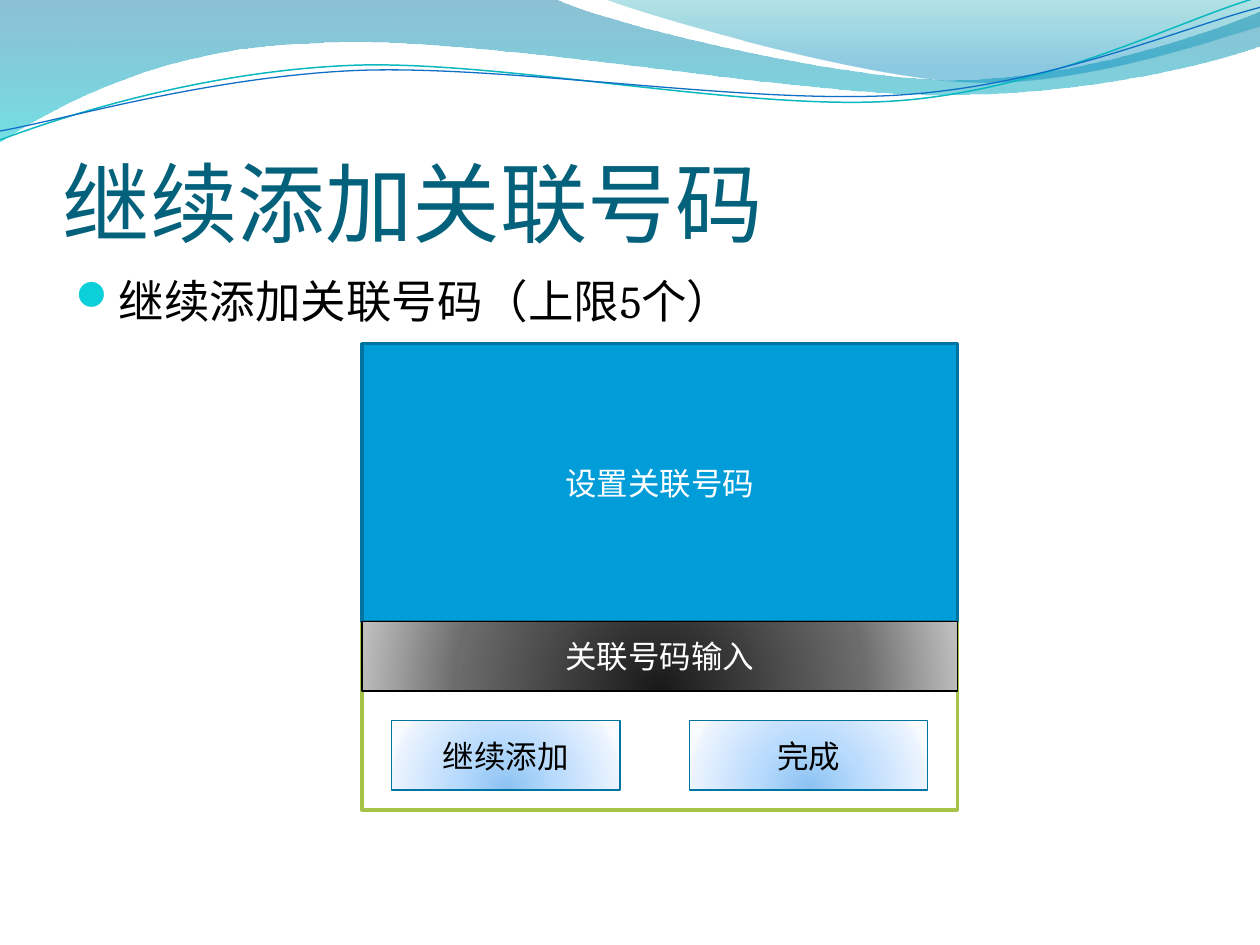
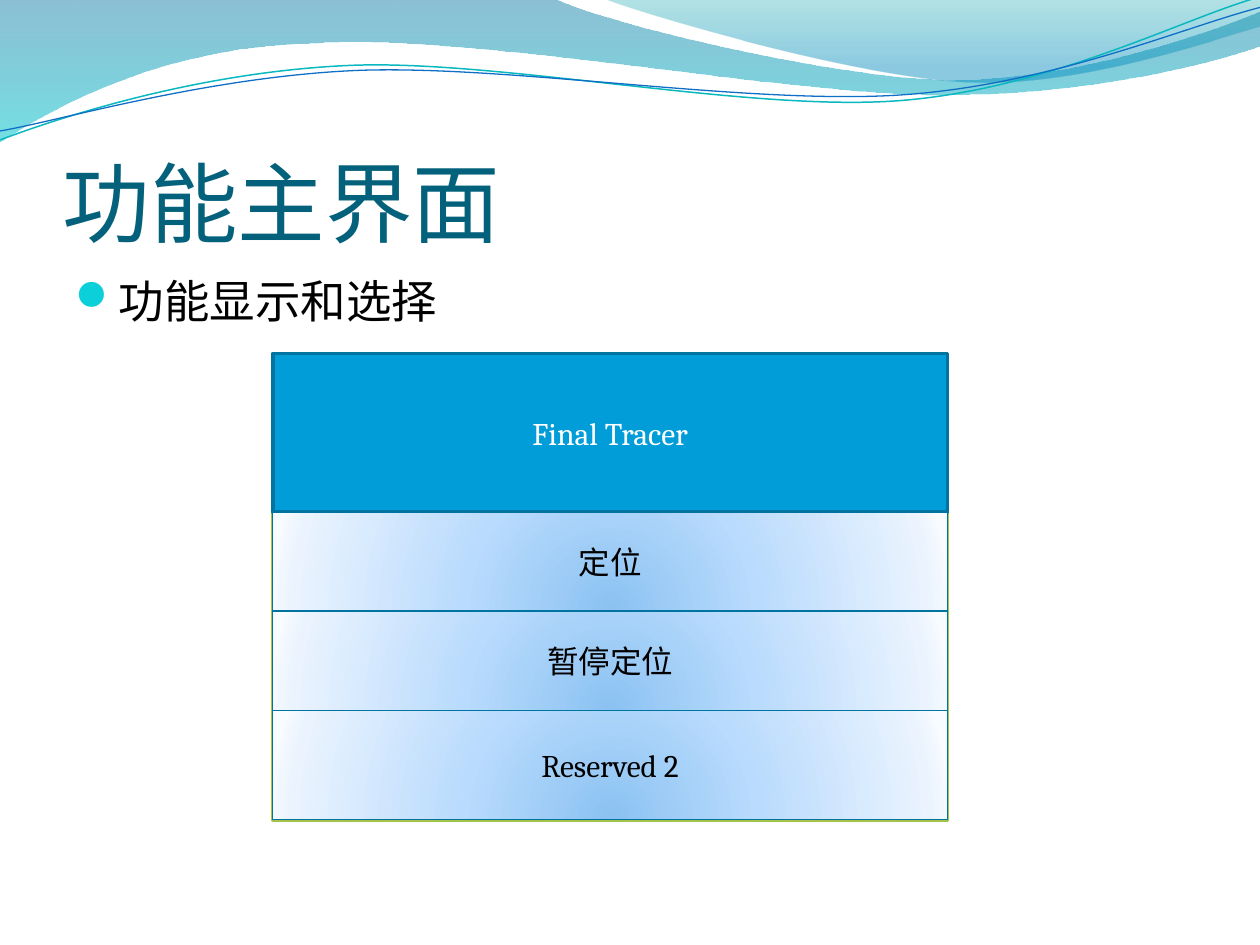
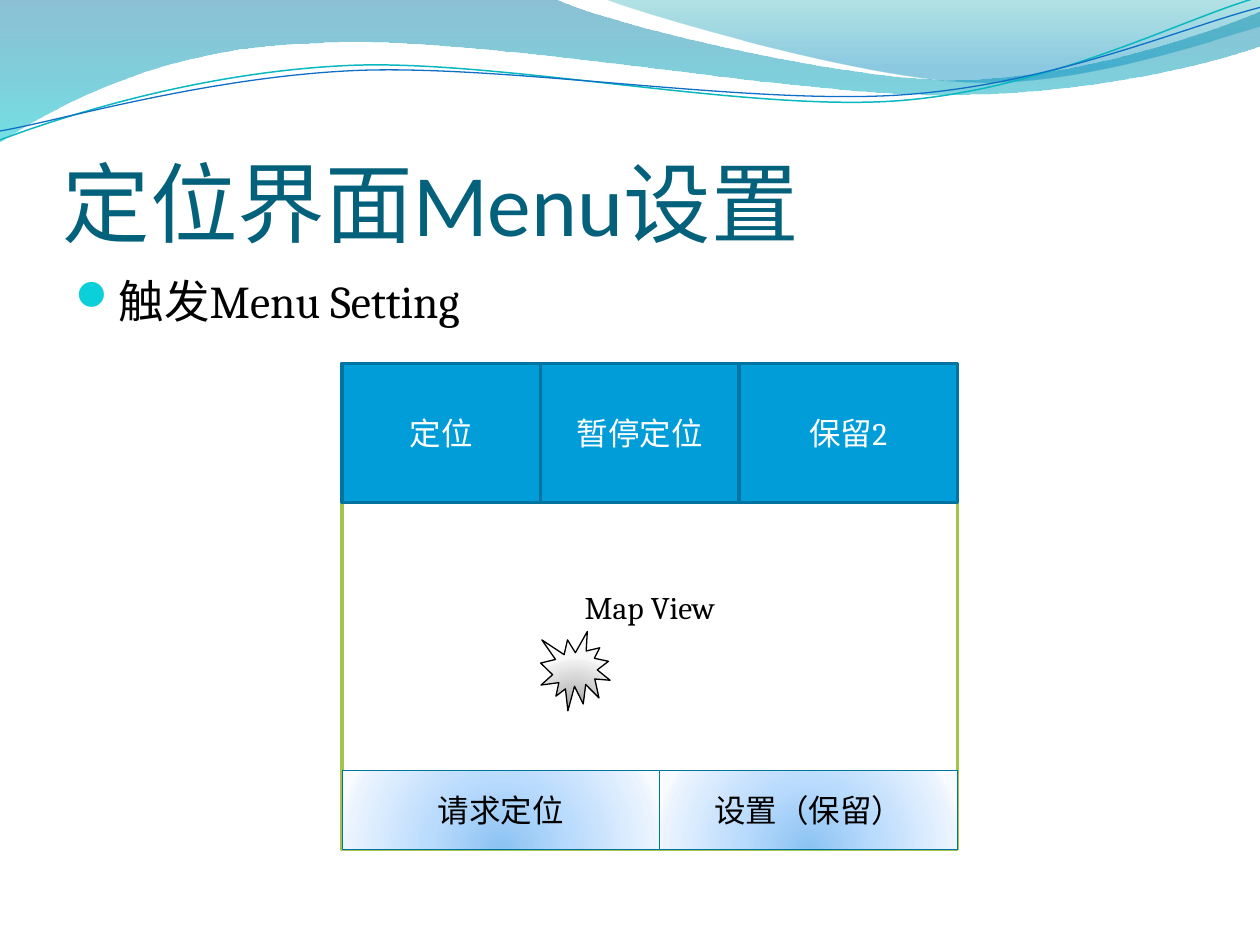
"""Build three slides of phone-screen mock-ups under a shared wave banner."""
import math
from dataclasses import dataclass

import lxml.etree
import pptx
import pptx.dml.color
import pptx.enum.shapes
import pptx.enum.text
import pptx.oxml.ns
import pptx.util

Cm = pptx.util.Cm
Pt = pptx.util.Pt
SHAPE = pptx.enum.shapes.MSO_SHAPE
ANCHOR = pptx.enum.text.MSO_ANCHOR
ALIGN = pptx.enum.text.PP_ALIGN
qn = pptx.oxml.ns.qn


@dataclass(frozen=True)
class Look:
    """Fill, outline and text colour of a kind of shape."""
    fill: object
    line: str
    width: float
    text: str = "000000"


@dataclass(frozen=True)
class Theme:
    """Colours, fonts and type sizes that all slides share."""
    heading_font: str = "Calibri"
    body_font: str = "Cambria"
    bullet_font: str = "Wingdings 2"
    title_size: int = 50
    body_size: int = 26
    label_size: int = 18
    title: str = "04617B"
    text: str = "000000"
    bullet: str = "0BD0D9"
    frame: Look = Look("FFFFFF", "A5C249", 2)
    header: Look = Look("009DD9", "0074A1", 2, "FFFFFF")
    button: Look = Look(((0, "8BC2F1"), (43, "B9DBFD"), (93, "EAF3FE"), (100, "F8FBFF")),
                        "0074A1", 0.75)
    entry: Look = Look(((0, "191919"), (68, "6C6C6C"), (100, "BDBDBD")),
                       "000000", 0.75, "FFFFFF")
    marker: Look = Look(((0, "979797"), (43, "C6C6C6"), (93, "EEEEEE"), (100, "F9F9F9")),
                        "000000", 0.75)


THEME = Theme()

BANDS = (
    (((0, "0074A1", 45), (100, "00C6CF", 55)),
     ((0, 0), (11.18, -0.03), (12.09, 0.43, 16.87, 1.6, 19.25, 1.6),
      (21.67, 1.6, 24.33, 0.66, 25.4, 0.23), (25.43, 0.91),
      (24.97, 1.12, 22.1, 1.93, 18.95, 1.91), (15.8, 1.91, 9.7, 0.71, 6.53, 0.86),
      (3.28, 0.91, 1.17, 2.11, -0.03, 2.87))),
    (((0, "00A1A9", 30), (80, "008BBF", 45)),
     ((12.17, -0.03), (12.93, 0.28, 17.32, 1.57, 19.53, 1.65),
      (21.74, 1.75, 24.41, 0.81, 25.4, 0.53), (25.4, 0))),
)
STROKES = (
    ("0AB8BF", 0.85,
     ((0, 2.82), (1.22, 2.36, 4.01, 1.45, 7.04, 1.32),
      (10.03, 1.19, 15.06, 2.26, 18.11, 2.03), (21.16, 1.8, 23.83, 0.38, 25.35, -0.05))),
    ("0F6FC6", 0.75,
     ((0, 2.64), (1.19, 2.44, 4.17, 1.55, 7.19, 1.42),
      (10.24, 1.3, 15.16, 2.13, 18.21, 1.91), (21.23, 1.7, 23.9, 0.53, 25.4, 0.15))),
)
STROKE_TILT = 2.7
STROKE_CENTER = (12.68, 1.48)


def rgb(value):
    """Turn a hex string into a colour."""
    return pptx.dml.color.RGBColor.from_string(value)


def child(parent, tag, **attrs):
    """Append a DrawingML element whose attributes are given by name."""
    el = lxml.etree.SubElement(parent, qn("a:" + tag))
    for key, value in attrs.items():
        el.set(key, str(value))
    return el


def color_node(parent, value, alpha=100):
    """Append a colour with an opacity in percent."""
    clr = child(parent, "srgbClr", val=value)
    if alpha < 100:
        child(clr, "alpha", val=alpha * 1000)


def fill_gradient(shape, stops, radial):
    """Fill a shape with a radial or a top-down gradient."""
    shape.fill.gradient()
    grad = shape.element.spPr.find(qn("a:gradFill"))
    grad.clear()
    grad.set("rotWithShape", "1")
    gs_list = child(grad, "gsLst")
    for position, *color in stops:
        color_node(child(gs_list, "gs", pos=position * 1000), *color)
    if radial:
        focus = child(grad, "path", path="circle")
        child(focus, "fillToRect", l=50000, t=130000, r=50000, b=-30000)
    else:
        child(grad, "lin", ang=5400000, scaled=1)


def add_run(p, text, font, size, color):
    """Append one formatted run to a paragraph."""
    r = p.add_run()
    r.text = text
    r.font.name = font
    r.font.size = Pt(size)
    r.font.color.rgb = rgb(color)


def pairs(step):
    """Split a step into its points, in EMU."""
    return [(Cm(x), Cm(y)) for x, y in zip(step[::2], step[1::2])]


def turn(step, degrees, center):
    """Rotate the points of a step about a centre."""
    cos, sin = math.cos(math.radians(degrees)), math.sin(math.radians(degrees))
    turned = []
    for x, y in zip(step[::2], step[1::2]):
        dx, dy = x - center[0], y - center[1]
        turned += [center[0] + dx * cos - dy * sin, center[1] + dx * sin + dy * cos]
    return turned


def add_outline(s, steps, close):
    """Draw a freeform whose six-number steps are cubic curves."""
    points = [pairs(step) for step in steps]
    start = points[0][0]
    builder = s.shapes.build_freeform(*start)
    builder.add_line_segments([step[-1] for step in points[1:]], close=close)
    sp = builder.convert_to_shape()
    sp.shadow.inherit = False
    outline = next(sp.element.iter(qn("a:path")))
    origin = outline.find(qn("a:moveTo"))[0]
    left, top = start[0] - int(origin.get("x")), start[1] - int(origin.get("y"))
    for line, step in zip(outline.findall(qn("a:lnTo")), points[1:]):
        if len(step) == 3:
            curve = child(outline, "cubicBezTo")
            for x, y in step:
                child(curve, "pt", x=x - left, y=y - top)
            outline.replace(line, curve)
    return sp


def add_waves(master, s):
    """Draw the wave banner and hand it to the master."""
    waves = []
    for stops, steps in BANDS:
        sp = add_outline(s, steps, True)
        fill_gradient(sp, stops, False)
        sp.line.fill.background()
        waves.append(sp)
    for color, width, steps in STROKES:
        level = [turn(step, STROKE_TILT, STROKE_CENTER) for step in steps]
        sp = add_outline(s, level, False)
        sp.rotation = 360 - STROKE_TILT
        sp.fill.background()
        sp.line.color.rgb = rgb(color)
        sp.line.width = Pt(width)
        waves.append(sp)
    for number, sp in enumerate(waves, 101):
        sp.element.nvSpPr.cNvPr.set("id", str(number))
        master.shapes.element.append(sp.element)


def add_textbox(s, x, y, w, h):
    """Add a wrapping text box and return its text frame."""
    tf = s.shapes.add_textbox(Cm(x), Cm(y), Cm(w), Cm(h)).text_frame
    tf.word_wrap = True
    return tf


def add_title(s, text):
    """Add the slide title."""
    tf = add_textbox(s, 1.27, 1.95, 22.86, 3.17)
    tf.vertical_anchor = ANCHOR.BOTTOM
    tf.margin_left = tf.margin_right = tf.margin_bottom = 0
    add_run(tf.paragraphs[0], text, THEME.heading_font, THEME.title_size, THEME.title)


def add_bullet(s, text):
    """Add the bulleted line under the title."""
    p = add_textbox(s, 1.27, 5.38, 22.86, 12.19).paragraphs[0]
    p.space_before = Pt(0.2 * THEME.body_size)
    add_run(p, text, THEME.body_font, THEME.body_size, THEME.text)
    pPr = p._p.get_or_add_pPr()
    pPr.set("marL", str(Cm(0.76)))
    pPr.set("indent", str(-Cm(0.76)))
    color_node(child(pPr, "buClr"), THEME.bullet)
    child(pPr, "buSzPct", val=95000)
    child(pPr, "buFont", typeface=THEME.bullet_font, charset=2)
    child(pPr, "buChar", char="\uf097")


def add_block(s, look, x, y, w, h, text="", kind=SHAPE.RECTANGLE):
    """Add a shape in one of the theme's looks, with a centred label."""
    sp = s.shapes.add_shape(kind, Cm(x), Cm(y), Cm(w), Cm(h))
    sp.shadow.inherit = False
    if isinstance(look.fill, str):
        sp.fill.solid()
        sp.fill.fore_color.rgb = rgb(look.fill)
    else:
        fill_gradient(sp, look.fill, True)
    sp.line.color.rgb = rgb(look.line)
    sp.line.width = Pt(look.width)
    if text:
        tf = sp.text_frame
        tf.vertical_anchor = ANCHOR.MIDDLE
        p = tf.paragraphs[0]
        p.alignment = ALIGN.CENTER
        add_run(p, text, THEME.body_font, THEME.label_size, look.text)


def add_row(s, look, x, y, h, cells):
    """Place touching blocks from left to right."""
    for text, w in cells:
        add_block(s, look, x, y, w, h, text)
        x += w


def add_column(s, x, y, w, cells):
    """Stack touching blocks from top to bottom."""
    for look, text, h in cells:
        add_block(s, look, x, y, w, h, text)
        y += h


def add_slide(prs, title, bullet):
    """Add a blank slide with its title and bullet."""
    s = prs.slides.add_slide(prs.slide_layouts[6])
    if len(prs.slides) == 1:
        add_waves(prs.slide_master, s)
    add_title(s, title)
    add_bullet(s, bullet)
    return s


def build_number_entry(prs):
    """Build the screen for adding linked numbers."""
    s = add_slide(prs, "继续添加关联号码", "继续添加关联号码（上限5个）")
    x, y, w = 7.3, 6.93, 12
    add_block(s, THEME.frame, x, y, w, 9.4)
    add_column(s, x, y, w, ((THEME.header, "设置关联号码", 5.6),
                            (THEME.entry, "关联号码输入", 1.4)))
    for text, left, width in (("完成", 13.9, 4.8), ("继续添加", 7.9, 4.6)):
        add_block(s, THEME.button, left, 14.53, width, 1.4, text)


def build_main_menu(prs):
    """Build the main menu screen."""
    s = add_slide(prs, "功能主界面", "功能显示和选择")
    x, y, w = 5.5, 7.13, 13.6
    add_block(s, THEME.frame, x, y, w, 9.4)
    add_column(s, x, y, w, ((THEME.header, "Final Tracer", 3.19),
                            (THEME.button, "定位", 2),
                            (THEME.button, "暂停定位", 2),
                            (THEME.button, "Reserved 2", 2.2)))


def build_map_menu(prs):
    """Build the map screen with its menu."""
    s = add_slide(prs, "定位界面Menu设置", "触发Menu Setting")
    x, y, w, h = 6.9, 7.33, 12.4, 9.8
    add_block(s, THEME.frame, x, y, w, h, "Map View")
    add_row(s, THEME.header, x, y, 2.8, (("定位", 4), ("暂停定位", 4), ("保留2", 4.4)))
    add_block(s, THEME.marker, x + 4, 12.73, 1.4, 1.6, kind=SHAPE.EXPLOSION1)
    for text, left, width in (("设置（保留）", x + 6.4, 6), ("请求定位", x, 6.4)):
        add_block(s, THEME.button, left, y + h - 1.6, width, 1.6, text)


def main():
    """Build and save the presentation."""
    prs = pptx.Presentation()
    prs.slide_width, prs.slide_height = Cm(25.4), Cm(19.05)
    build_number_entry(prs)
    build_main_menu(prs)
    build_map_menu(prs)
    prs.save("out.pptx")


main()
